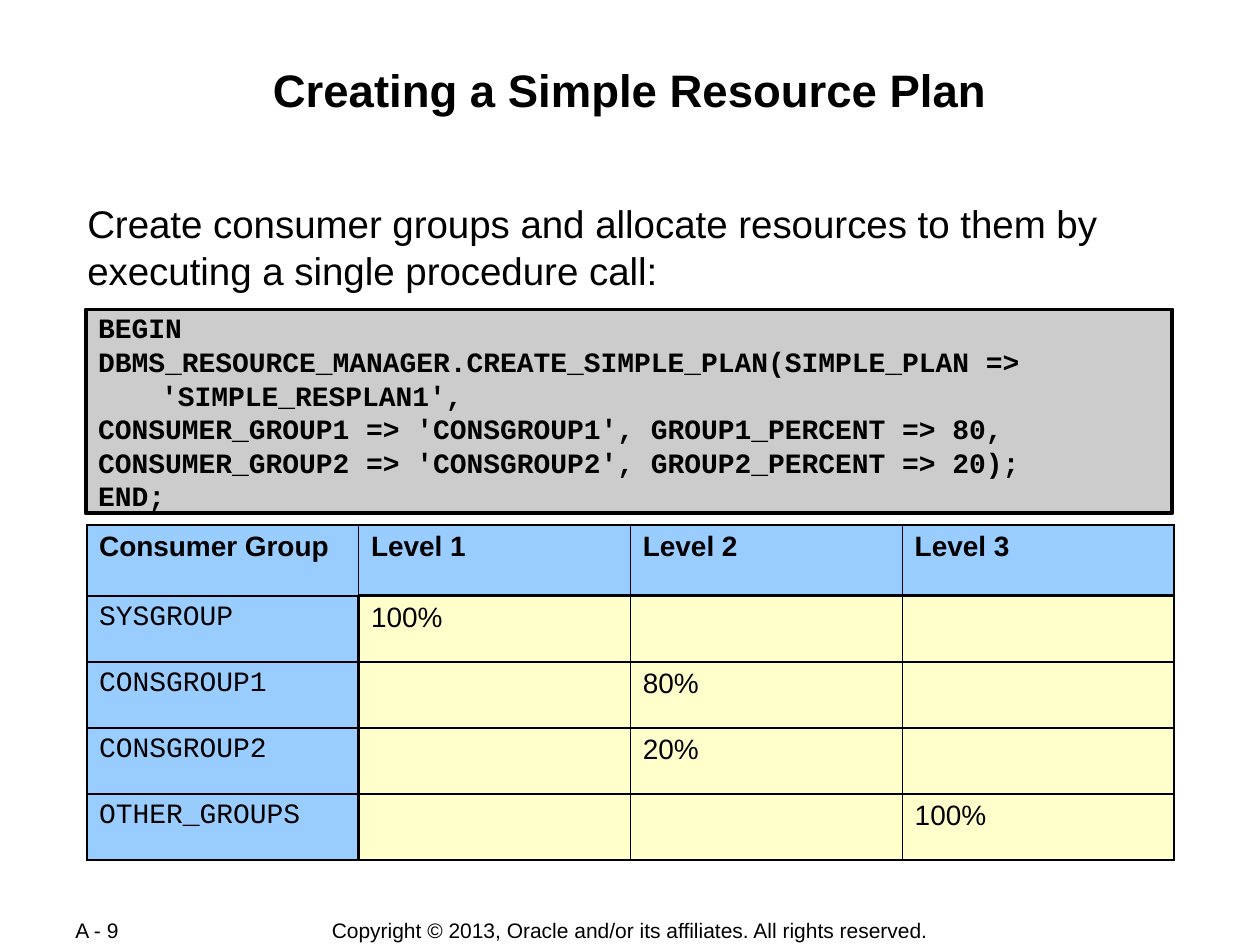
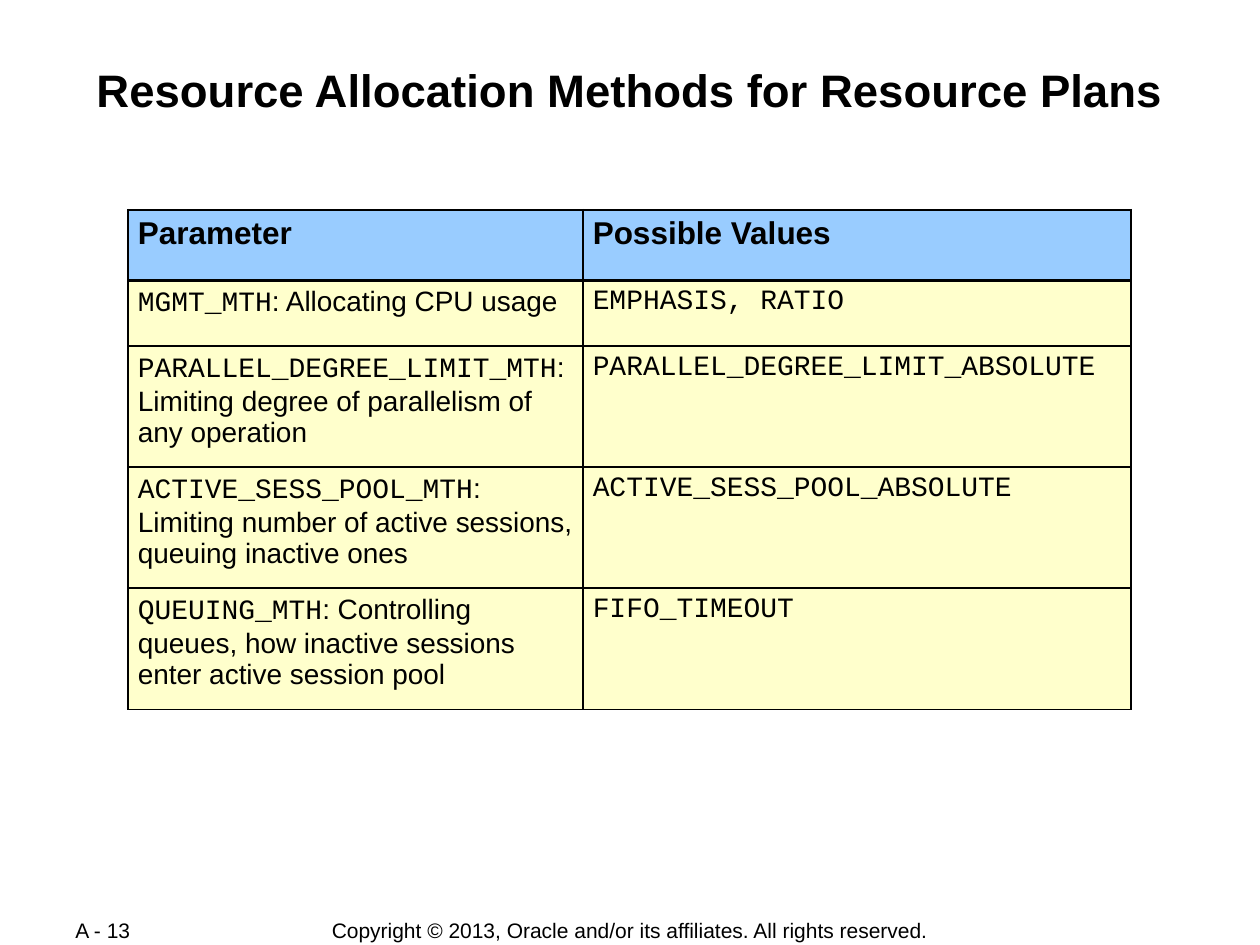
from lxml import etree
from pptx import Presentation
from pptx.dml.color import RGBColor
from pptx.enum.shapes import MSO_SHAPE
from pptx.enum.text import MSO_ANCHOR, PP_ALIGN
from pptx.oxml.ns import qn
from pptx.util import Cm, Pt

RECT = MSO_SHAPE.RECTANGLE
TOP, MIDDLE = MSO_ANCHOR.TOP, MSO_ANCHOR.MIDDLE
LEFT, CENTER = PP_ALIGN.LEFT, PP_ALIGN.CENTER

COLORS = {"ink": "000000", "code": "CCCCCC", "head": "99CCFF", "cell": "FFFFCC"}
SANS, MONO = "Arial", "Courier New"
THIN, THICK = 1.08, 2.21
RIGHTS = "Copyright © 2013, Oracle and/or its affiliates. All rights reserved."

CODE = """BEGIN
DBMS_RESOURCE_MANAGER.CREATE_SIMPLE_PLAN(SIMPLE_PLAN => 'SIMPLE_RESPLAN1',
CONSUMER_GROUP1 => 'CONSGROUP1', GROUP1_PERCENT => 80,
CONSUMER_GROUP2 => 'CONSGROUP2', GROUP2_PERCENT => 20);
END;"""

GROUPS = [
    ["Consumer Group", "Level 1", "Level 2", "Level 3"],
    ["`SYSGROUP`", "100%", "", ""],
    ["`CONSGROUP1`", "", "80%", ""],
    ["`CONSGROUP2`", "", "20%", ""],
    ["`OTHER_GROUPS`", "", "", "100%"],
]

METHODS = [
    ["Parameter", "Possible Values"],
    ["`MGMT_MTH`: Allocating CPU usage", "`EMPHASIS, RATIO`"],
    ["`PARALLEL_DEGREE_LIMIT_MTH`: Limiting degree of parallelism of any operation",
     "`PARALLEL_DEGREE_LIMIT_ABSOLUTE`"],
    ["`ACTIVE_SESS_POOL_MTH`: Limiting number of active sessions, queuing inactive ones",
     "`ACTIVE_SESS_POOL_ABSOLUTE`"],
    ["`QUEUING_MTH`: Controlling queues, how inactive sessions enter active session pool",
     "`FIFO_TIMEOUT`"],
]


def paint(fill, name):
    fill.solid()
    fill.fore_color.rgb = RGBColor.from_string(COLORS[name])


def write(frame, text, size=16, font=SANS, bold=False, align=LEFT, hang=0):
    """Fill a text frame; parts between backticks are set in the code font."""
    for i, line in enumerate(text.split("\n")):
        par = frame.paragraphs[0] if i == 0 else frame.add_paragraph()
        par.alignment = align
        if hang:
            props = par._p.get_or_add_pPr()
            props.set("marL", str(Cm(hang)))
            props.set("indent", str(-Cm(hang)))
        for j, part in enumerate(line.split("`")):
            if part:
                run = par.add_run()
                run.text = part
                run.font.name = MONO if j % 2 else font
                run.font.size = Pt(size)
                run.font.bold = bold
                run.font.color.rgb = RGBColor.from_string(COLORS["ink"])


def setup(frame, anchor, side, top):
    frame.word_wrap = True
    frame.vertical_anchor = anchor
    frame.margin_left = frame.margin_right = Cm(side)
    frame.margin_top, frame.margin_bottom = Cm(top), 0


def add_text(slide, box, text, anchor=TOP, side=0.03, top=0.03, **style):
    frame = slide.shapes.add_textbox(*map(Cm, box)).text_frame
    setup(frame, anchor, side, top)
    write(frame, text, **style)


def add_code(slide, box, text):
    panel = slide.shapes.add_shape(RECT, *map(Cm, box))
    panel.shadow.inherit = False
    paint(panel.fill, "code")
    paint(panel.line.fill, "ink")
    panel.line.width = Pt(2.25)
    setup(panel.text_frame, TOP, 0.25, 0.03)
    write(panel.text_frame, text, font=MONO, bold=True, hang=1.27)


def edge(cell, side, width):
    line = etree.SubElement(cell._tc.get_or_add_tcPr(), qn("a:ln" + side), w=str(Pt(width)))
    fill = etree.SubElement(line, qn("a:solidFill"))
    etree.SubElement(fill, qn("a:srgbClr"), val=COLORS["ink"])


def add_grid(slide, left, top, widths, heights, rows, side, head=16, keyed=False):
    frame = slide.shapes.add_table(len(rows), len(widths), Cm(left), Cm(top),
                                   Cm(sum(widths)), Cm(sum(heights)))
    table = frame.table
    table.first_row = table.horz_banding = False
    for column, width in zip(table.columns, widths):
        column.width = Cm(width)
    for row, height in zip(table.rows, heights):
        row.height = Cm(height)
    for r, texts in enumerate(rows):
        for c, text in enumerate(texts):
            cell = table.cell(r, c)
            key = keyed and c == 0
            heavy = {
                "L": keyed and c == 1 and r > 0,
                "R": key and r > 0,
                "T": r == 1 and not key,
                "B": r == 0 and not key,
            }
            for name, strong in heavy.items():
                edge(cell, name, THICK if strong else THIN)
            paint(cell.fill, "head" if r == 0 or key else "cell")
            cell.margin_left = cell.margin_right = Cm(side)
            write(cell.text_frame, text, size=16 if r else head, bold=r == 0)


def add_page(deck, title, number):
    slide = deck.slides.add_slide(deck.slide_layouts[6])
    add_text(slide, (5.7, 18.49, 14, 0.53), RIGHTS, MIDDLE, top=0, size=12, align=CENTER)
    add_text(slide, (1.27, 18.49, 2.7, 0.53), f"A - {number}", MIDDLE, side=0.25, top=0, size=12)
    add_text(slide, (1.7, 1.22, 22, 2.4), title, size=26, bold=True, align=CENTER)
    return slide


def main():
    deck = Presentation()
    deck.slide_width, deck.slide_height = Cm(25.4), Cm(19.05)

    slide = add_page(deck, "Creating a Simple Resource Plan", 9)
    add_text(slide, (1.73, 4.01, 22, 1.96),
             "Create consumer groups and allocate resources to them by "
             "executing a single procedure call:", size=22)
    add_code(slide, (1.73, 6.24, 21.9, 4.11), CODE)
    add_grid(slide, 1.75, 10.59, [5.48] * 4, [1.42] + [1.33] * 4, GROUPS,
             side=0.25, keyed=True)

    slide = add_page(deck, "Resource Allocation Methods for Resource Plans", 13)
    add_grid(slide, 2.58, 4.23, [9.17, 11.05], [1.42, 1.33] + [2.44] * 3, METHODS,
             side=0.2, head=18)

    deck.save("out.pptx")


if __name__ == "__main__":
    main()
